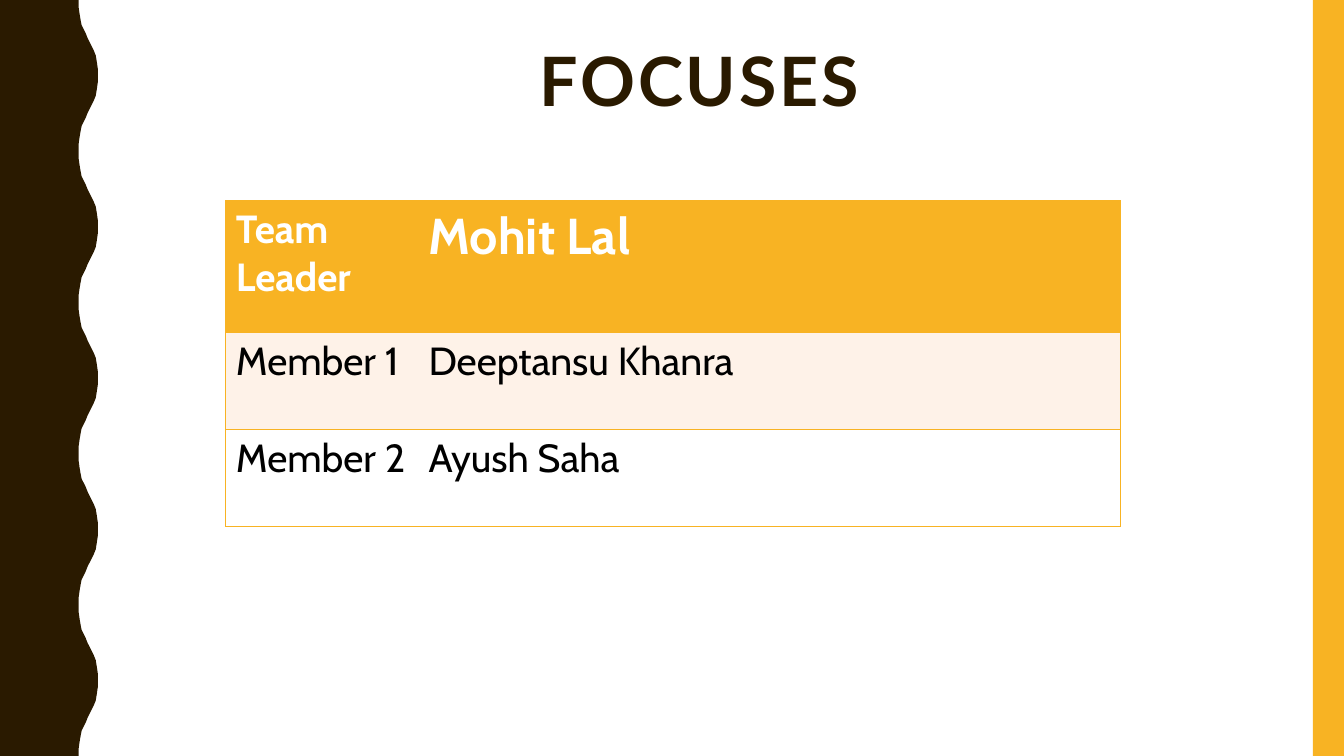
"""Build the team focuses slide."""
import lxml.etree
import pptx
import pptx.dml.color
import pptx.enum.shapes
import pptx.enum.text
import pptx.oxml.ns
import pptx.util

TITLE = "FOCUSES"
ROWS = [("Team Leader", "Mohit Lal"),
        ("Member 1", "Deeptansu Khanra"),
        ("Member 2", "Ayush Saha")]
SIZES = [(28, 36), (28, 28), (28, 28)]
FILLS = ["F8B323", "FEF2E8", "FFFFFF"]
INKS = ["FFFFFF", "000000", "000000"]
COLS = [1.91, 6.96]
HIGHS = [1.31, 0.96, 0.96]
GOLD, BROWN = "F8B323", "2A1A00"
WIDE, TALL = 13.33, 7.5
BAR = 0.31
WAVES = 5
BEND = [(78, 0), (78, 7), (79, 14), (80, 20), (81, 25), (83, 29), (85, 33), (87, 38),
        (89, 42), (91, 46), (93, 50), (95, 55), (96, 61), (97, 68), (97, 75)]
PLAIN = "{2D5ABB26-0587-4C30-8999-92F81FD0307C}"

inch = pptx.util.Inches
qn = pptx.oxml.ns.qn


def hue(code):
    return pptx.dml.color.RGBColor.from_string(code)


def paint(shape, code):
    shape.shadow.inherit = False
    shape.fill.solid()
    shape.fill.fore_color.rgb = hue(code)
    shape.line.fill.background()


def write(para, text, font, size, code, bold):
    run = para.add_run()
    run.text = text
    run.font.name = font
    run.font.size = pptx.util.Pt(size)
    run.font.color.rgb = hue(code)
    run.font.bold = bold
    return run


def edge(cell, sides):
    props = cell._tc.get_or_add_tcPr()
    for spot, side in enumerate(sides):
        line = lxml.etree.Element(qn("a:ln" + side), w="12700")
        fill = lxml.etree.SubElement(line, qn("a:solidFill"))
        lxml.etree.SubElement(fill, qn("a:srgbClr"), val=GOLD)
        props.insert(spot, line)


def add_wave(slide):
    step = 2 * BEND[-1][1]
    pts = [(0, 0)]
    for k in range(WAVES):
        pts += [(x, k * step + y) for x, y in BEND]
        pts += [(x, (k + 1) * step - y) for x, y in reversed(BEND[:-1])]
    pts.append((0, WAVES * step))
    form = slide.shapes.build_freeform(0, 0, scale=inch(0.01))
    form.add_line_segments(pts[1:], close=True)
    paint(form.convert_to_shape(), BROWN)


def add_title(slide):
    title = slide.shapes.title
    title.left, title.top, title.width, title.height = map(inch, (1.37, 0.42, 11.13, 1.02))
    frame = title.text_frame
    frame.word_wrap = True
    frame.auto_size = pptx.enum.text.MSO_AUTO_SIZE.NONE
    frame.vertical_anchor = pptx.enum.text.MSO_ANCHOR.TOP
    para = frame.paragraphs[0]
    para.alignment = pptx.enum.text.PP_ALIGN.CENTER
    para.line_spacing = 0.9
    run = write(para, TITLE, "Lato", 48.6, BROWN, True)
    run.font._element.set("spc", "200")


def add_team(slide):
    box = slide.shapes.add_table(len(ROWS), len(COLS), inch(2.24), inch(1.99),
                                 inch(sum(COLS)), inch(sum(HIGHS)))
    table = box.table
    table._tbl.tblPr.find(qn("a:tableStyleId")).text = PLAIN
    for col, wide in zip(table.columns, COLS):
        col.width = inch(wide)
    for r, names in enumerate(ROWS):
        table.rows[r].height = inch(HIGHS[r])
        for c, name in enumerate(names):
            cell = table.cell(r, c)
            cell.fill.solid()
            cell.fill.fore_color.rgb = hue(FILLS[r])
            write(cell.text_frame.paragraphs[0], name, "Cabin", SIZES[r][c], INKS[r], r == 0)
            edge(cell, ("L", "T", "B") if c == 0 else ("R", "T", "B"))


def main():
    deck = pptx.Presentation()
    deck.slide_width, deck.slide_height = inch(WIDE), inch(TALL)
    slide = deck.slides.add_slide(deck.slide_layouts[5])
    add_wave(slide)
    bar = slide.shapes.add_shape(pptx.enum.shapes.MSO_SHAPE.RECTANGLE,
                                 inch(WIDE - BAR), 0, inch(BAR), inch(TALL))
    paint(bar, GOLD)
    add_title(slide)
    add_team(slide)
    deck.save("out.pptx")


if __name__ == "__main__":
    main()
